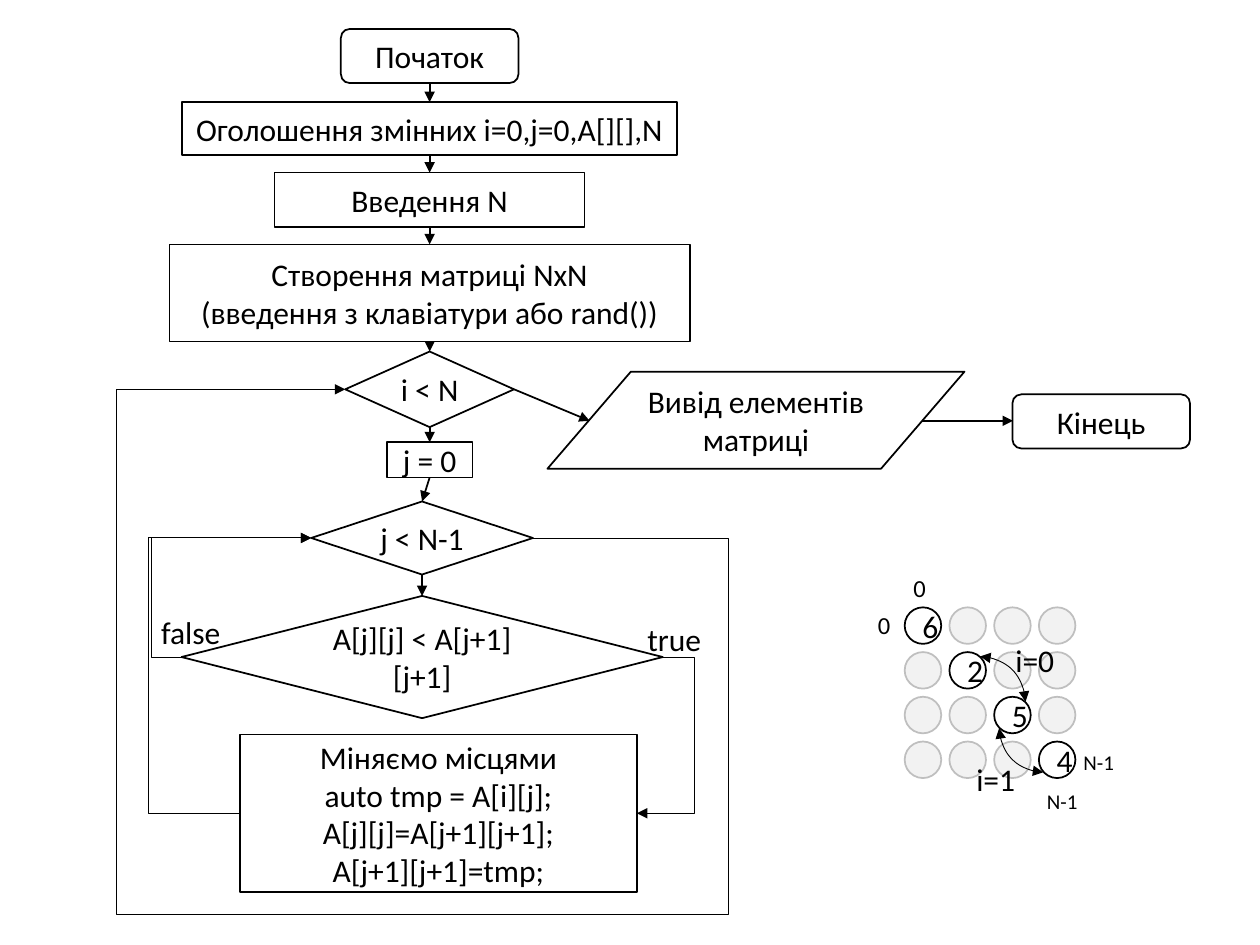
import pptx
import pptx.util
import pptx.dml.color
import pptx.enum.shapes
import pptx.enum.text
import pptx.oxml
import pptx.oxml.ns

Inches, Pt = pptx.util.Inches, pptx.util.Pt
SHAPES = pptx.enum.shapes.MSO_SHAPE
CONNECTORS = pptx.enum.shapes.MSO_CONNECTOR
ALIGN = pptx.enum.text.PP_ALIGN
ANCHOR = pptx.enum.text.MSO_ANCHOR

COLORS = {"ink": "000000", "paper": "FFFFFF", "pale": "F2F2F2", "pale_line": "BFBFBF"}
FONT = "Calibri"
AXIS, LOOP_AXIS = 3.41, 3.35
TOP, LEFT, BOTTOM, RIGHT = range(4)

# name: (kind, centre x, top, width, height, lines of text)
STEPS = {
    "start": (SHAPES.ROUNDED_RECTANGLE, AXIS, 0.23, 1.41, 0.43, ["Початок"]),
    "declare": (SHAPES.FLOWCHART_PROCESS, AXIS, 0.81, 3.93, 0.42,
                ["Оголошення змінних i=0,j=0,A[][],N"]),
    "input": (SHAPES.FLOWCHART_PROCESS, AXIS, 1.37, 2.46, 0.43, ["Введення N"]),
    "matrix": (SHAPES.FLOWCHART_PROCESS, AXIS, 1.94, 4.13, 0.77,
               ["Створення матриці NxN", "(введення з клавіатури або rand())"]),
    "outer": (SHAPES.FLOWCHART_DECISION, AXIS, 2.79, 1.34, 0.6, ["i < N"]),
    "reset": (SHAPES.FLOWCHART_PROCESS, AXIS, 3.51, 0.68, 0.28, ["j = 0"]),
    "inner": (SHAPES.FLOWCHART_DECISION, LOOP_AXIS, 3.98, 1.76, 0.58, ["j < N-1"]),
    "compare": (SHAPES.FLOWCHART_DECISION, LOOP_AXIS, 4.73, 3.82, 0.97,
                ["A[j][j] < A[j+1][j+1]"]),
    "swap": (SHAPES.FLOWCHART_PROCESS, 3.48, 5.83, 3.15, 1.25,
             ["Міняємо місцями", "auto tmp = A[i][j];",
              "A[j][j]=A[j+1][j+1];", "A[j+1][j+1]=tmp;"]),
    "output": (SHAPES.FLOWCHART_DATA, 6.0, 2.95, 3.31, 0.77, ["Вивід елементів матриці"]),
    "end": (SHAPES.ROUNDED_RECTANGLE, 8.74, 3.13, 1.41, 0.43, ["Кінець"]),
}
DOWNWARD = ["start", "declare", "input", "matrix", "outer", "reset", "inner", "compare"]
OUTPUT_ARROWS = [((4.08, 3.09), (4.68, 3.34)), ((7.32, 3.34), (8.04, 3.34))]

# (from step, side, to step, side, turning coordinates in order x, y, x)
LOOPS = [
    ("compare", LEFT, "inner", LEFT, [1.2]),
    ("compare", RIGHT, "swap", RIGHT, [5.51]),
    ("swap", LEFT, "inner", LEFT, [1.18]),
    ("inner", RIGHT, "outer", LEFT, [5.78, 7.26, 0.92]),
]

DIAGONAL = ["6", "2", "5", "4"]
MATRIX_LEFT, MATRIX_TOP, PITCH, DIAMETER = 7.18, 4.82, 0.355, 0.29
SWAP_CURVES = [((7.78, 5.21), (8.14, 5.57)), ((8.28, 6.13), (7.93, 5.78))]

# (text, left, top, width, height, size)
LABELS = [
    ("true", 5.04, 4.87, 0.71, 0.4, 18),
    ("false", 1.18, 4.82, 0.71, 0.4, 18),
    ("0", 6.87, 4.79, 0.2, 0.34, 14),
    ("0", 7.15, 4.5, 0.2, 0.34, 14),
    ("N-1", 8.5, 5.9, 0.49, 0.3, 12),
    ("N-1", 8.21, 6.21, 0.49, 0.3, 12),
    ("i=0", 7.96, 5.04, 0.71, 0.4, 18),
    ("i=1", 7.65, 5.98, 0.71, 0.4, 18),
]


def rgb(name):
    return pptx.dml.color.RGBColor.from_string(COLORS[name])


def write(shape, lines, size=18, align=ALIGN.CENTER, anchor=ANCHOR.MIDDLE):
    frame = shape.text_frame
    frame.word_wrap = True
    frame.vertical_anchor = anchor
    for index, line in enumerate(lines):
        paragraph = frame.add_paragraph() if index else frame.paragraphs[0]
        paragraph.alignment = align
        run = paragraph.add_run()
        run.text = line
        run.font.name, run.font.size = FONT, Pt(size)
        run.font.color.rgb = rgb("ink")


def add_node(slide, kind, left, top, width, height, lines=(), fill="paper", line="ink"):
    shape = slide.shapes.add_shape(kind, *map(Inches, (left, top, width, height)))
    shape.shadow.inherit = False
    shape.fill.solid()
    shape.fill.fore_color.rgb = rgb(fill)
    shape.line.color.rgb = rgb(line)
    shape.line.width = Pt(1)
    write(shape, lines)
    return shape


def add_arrow(slide, start, end, kind=CONNECTORS.STRAIGHT, width=1, ends=("tailEnd",)):
    connector = slide.shapes.add_connector(kind, *map(Inches, (*start, *end)))
    connector.line.color.rgb = rgb("ink")
    connector.line.width = Pt(width)
    line = connector.line._get_or_add_ln()
    for name in ends:
        line.append(pptx.oxml.parse_xml(
            f'<a:{name} {pptx.oxml.ns.nsdecls("a")} type="triangle"/>'))
    connector._element.spPr.append(
        pptx.oxml.parse_xml(f'<a:effectLst {pptx.oxml.ns.nsdecls("a")}/>'))
    return connector


def set_geometry(connector, preset, adjustments=()):
    guides = "".join(f'<a:gd name="adj{number}" fmla="val {round(share * 100000)}"/>'
                     for number, share in enumerate(adjustments, 1))
    geometry = pptx.oxml.parse_xml(
        f'<a:prstGeom {pptx.oxml.ns.nsdecls("a")} prst="{preset}">'
        f'<a:avLst>{guides}</a:avLst></a:prstGeom>')
    properties = connector._element.spPr
    properties.replace(properties.find(pptx.oxml.ns.qn("a:prstGeom")), geometry)


def side_point(name, side):
    _, centre, top, width, height, _ = STEPS[name]
    x = centre + {LEFT: -width / 2, RIGHT: width / 2}.get(side, 0)
    y = top + {TOP: 0, BOTTOM: height}.get(side, height / 2)
    return x, y


def add_loop(slide, source, source_side, target, target_side, turns):
    start, end = side_point(source, source_side), side_point(target, target_side)
    connector = add_arrow(slide, start, end, CONNECTORS.ELBOW, 0.5)
    shares = [(turn - start[index % 2]) / (end[index % 2] - start[index % 2])
              for index, turn in enumerate(turns)]
    set_geometry(connector, f"bentConnector{len(turns) + 2}", shares)


def add_matrix(slide):
    for row in range(len(DIAGONAL)):
        for column in range(len(DIAGONAL)):
            place = (MATRIX_LEFT + column * PITCH, MATRIX_TOP + row * PITCH, DIAMETER, DIAMETER)
            if row == column:
                add_node(slide, SHAPES.FLOWCHART_CONNECTOR, *place, [DIAGONAL[row]])
            else:
                add_node(slide, SHAPES.FLOWCHART_CONNECTOR, *place,
                         fill="pale", line="pale_line")
    for start, end in SWAP_CURVES:
        curve = add_arrow(slide, start, end, CONNECTORS.CURVE, 0.5, ("headEnd", "tailEnd"))
        set_geometry(curve, "curvedConnector2")


def main():
    presentation = pptx.Presentation()
    presentation.slide_width, presentation.slide_height = Inches(10), Inches(7.5)
    slide = presentation.slides.add_slide(presentation.slide_layouts[6])

    nodes = {name: add_node(slide, kind, centre - width / 2, top, width, height, lines)
             for name, (kind, centre, top, width, height, lines) in STEPS.items()}
    for source, target in zip(DOWNWARD, DOWNWARD[1:]):
        arrow = add_arrow(slide, side_point(source, BOTTOM), side_point(target, TOP))
        arrow.begin_connect(nodes[source], BOTTOM)
        arrow.end_connect(nodes[target], TOP)
    for start, end in OUTPUT_ARROWS:
        add_arrow(slide, start, end)
    for loop in LOOPS:
        add_loop(slide, *loop)

    add_matrix(slide)
    for text, left, top, width, height, size in LABELS:
        box = slide.shapes.add_textbox(*map(Inches, (left, top, width, height)))
        write(box, [text], size=size, align=ALIGN.LEFT, anchor=ANCHOR.TOP)
    presentation.save("out.pptx")


if __name__ == "__main__":
    main()
